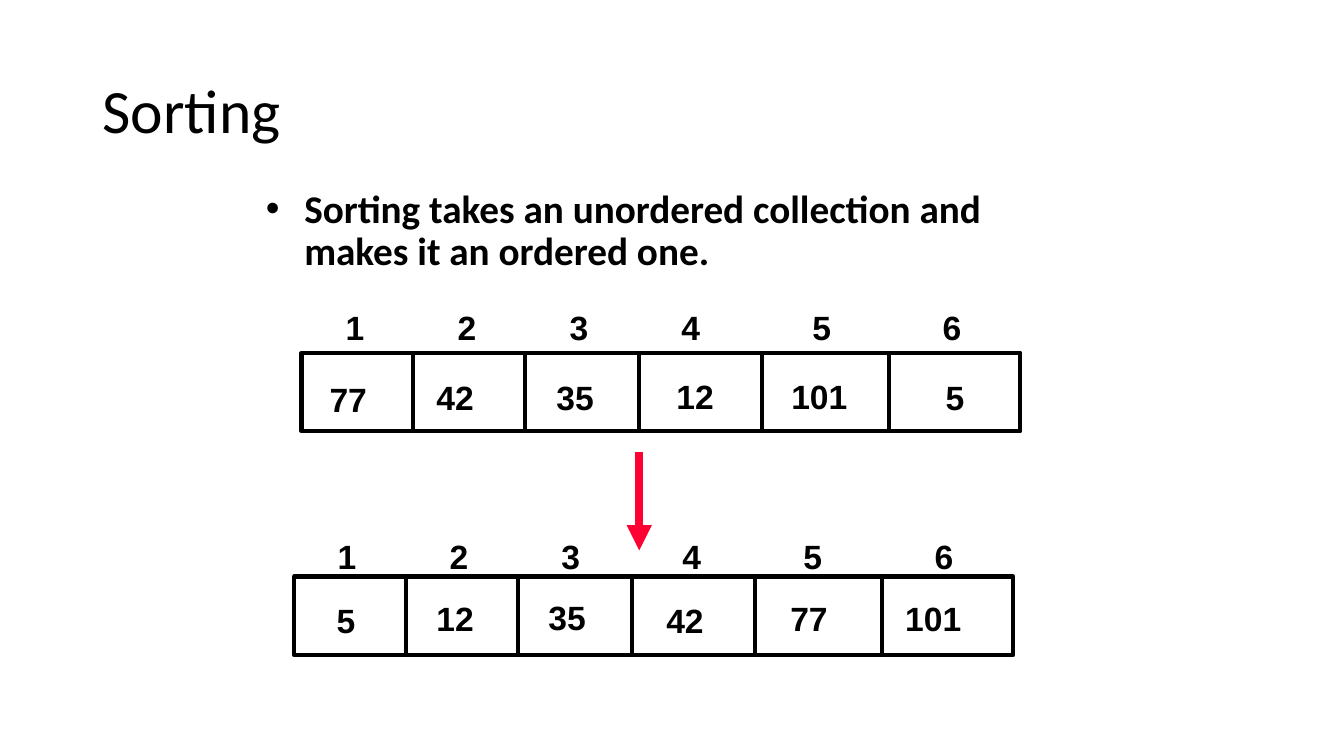
import pptx
import pptx.util
import pptx.dml.color
import pptx.enum.shapes
import pptx.enum.text
import pptx.oxml.ns
import lxml.etree

# Content
TITLE = "Sorting"
POINT = "Sorting takes an unordered collection and makes it an ordered one."
INDEX = ["1", "2", "3", "4", "5", "6"]
EDGES = [1.11, 2.22, 3.35, 4.57, 5.83]  # inner column edges of each array
SIZE = (7.13, 0.78)

# Each value: text, shift from the left and the top of its array
ARRAYS = [
    {"left": 2.99, "top": 3.5, "label": (3.33, 3.0),
     "tabs": [1.11, 2.22, 3.33, 4.63, 5.92],
     "values": [("77", 0.18, 0.21), ("42", 1.24, 0.19), ("35", 2.43, 0.19),
                ("12", 3.62, 0.18), ("101", 4.76, 0.18), ("5", 6.29, 0.19)]},
    {"left": 2.92, "top": 5.72, "label": (3.25, 5.27),
     "tabs": [1.11, 2.22, 3.42, 4.62, 5.92],
     "values": [("5", 0.32, 0.18), ("12", 1.31, 0.16), ("35", 2.42, 0.15),
                ("42", 3.59, 0.18), ("77", 4.82, 0.16), ("101", 5.96, 0.16)]},
]

BLACK = pptx.dml.color.RGBColor(0, 0, 0)
RED = pptx.dml.color.RGBColor(0xFF, 0x00, 0x33)
HEAD = {"name": "Calibri", "size": pptx.util.Pt(44)}
BODY = {"name": "Calibri", "size": pptx.util.Pt(28), "bold": True}
CELL = {"name": "Arial", "size": pptx.util.Pt(24), "bold": True}

Inch = pptx.util.Inches
deck = pptx.Presentation()
deck.slide_width, deck.slide_height = Inch(13.33), Inch(7.5)
slide = deck.slides.add_slide(deck.slide_layouts[6])


def node(parent, tag, **attrs):
    item = lxml.etree.SubElement(parent, pptx.oxml.ns.qn(tag))
    for key, val in attrs.items():
        item.set(key, str(val))
    return item


def write(text, box, font, wrap=False, **form):
    frame = slide.shapes.add_textbox(*map(Inch, box)).text_frame
    frame.word_wrap = wrap
    para = frame.paragraphs[0]
    for key, val in form.items():
        setattr(para, key, val)
    run = para.add_run()
    run.text = text
    for key, val in font.items():
        setattr(run.font, key, val)
    run.font.color.rgb = BLACK
    return frame


def rule(x, top, end, color=BLACK, width=3):
    line = slide.shapes.add_connector(
        pptx.enum.shapes.MSO_CONNECTOR.STRAIGHT, *map(Inch, (x, top, x, end)))
    line.line.color.rgb = color
    line.line.width = pptx.util.Pt(width)
    node(line._element.spPr, "a:effectLst")
    return line


# Title and bullet
frame = write(TITLE, (0.92, 0.4, 11.5, 1.45), HEAD, True, line_spacing=0.9)
frame.vertical_anchor = pptx.enum.text.MSO_ANCHOR.MIDDLE
frame = write(POINT, (2.42, 1.83, 8.5, 4.83), BODY, True,
              line_spacing=0.9, space_before=pptx.util.Pt(10))
props = frame.paragraphs[0]._p.get_or_add_pPr()
props.set("marL", str(Inch(0.5)))
props.set("indent", str(Inch(-0.38)))
node(props, "a:buFont", typeface="Arial")
node(props, "a:buChar", char="•")

# Arrays: frame, column rules, values, index row
for array in ARRAYS:
    left, top = array["left"], array["top"]
    wide, high = SIZE
    rect = slide.shapes.add_shape(pptx.enum.shapes.MSO_SHAPE.RECTANGLE,
                                  *map(Inch, (left, top, wide, high)))
    rect.shadow.inherit = False
    rect.fill.background()
    rect.line.color.rgb = BLACK
    rect.line.width = pptx.util.Pt(3)
    for edge in EDGES:
        rule(left + edge, top, top + high)
    for text, dx, dy in array["values"]:
        write(text, (left + dx, top + dy, 0.2 + 0.19 * len(text), 0.51), CELL)
    frame = write("\t".join(INDEX), (*array["label"], 6.35, 0.51), CELL, True)
    stops = node(frame.paragraphs[0]._p.get_or_add_pPr(), "a:tabLst")
    for stop in array["tabs"]:
        node(stops, "a:tab", pos=Inch(stop), algn="l")

# Arrow from unordered to ordered
arrow = rule(6.34, 4.48, 5.46, RED, 6)
node(arrow.line._get_or_add_ln(), "a:tailEnd", type="triangle")

deck.save("out.pptx")
